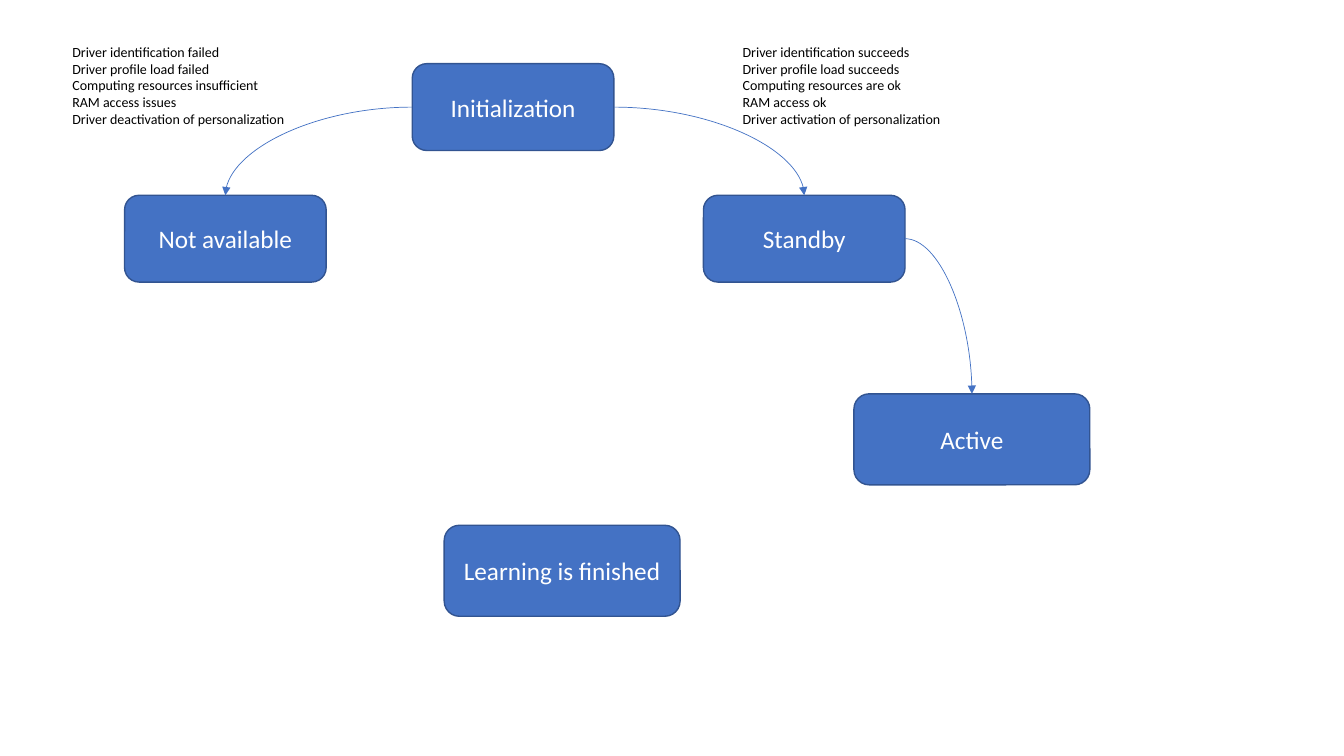
from dataclasses import dataclass

from lxml.etree import SubElement
from pptx import Presentation
from pptx.dml.color import RGBColor
from pptx.enum.shapes import MSO_CONNECTOR, MSO_SHAPE
from pptx.enum.text import MSO_ANCHOR, MSO_AUTO_SIZE, PP_ALIGN
from pptx.oxml.ns import qn
from pptx.util import Pt


@dataclass(frozen=True)
class Theme:
    font: str = "Calibri"
    blue: RGBColor = RGBColor(0x44, 0x72, 0xC4)
    edge: RGBColor = RGBColor(0x32, 0x54, 0x91)
    white: RGBColor = RGBColor(0xFF, 0xFF, 0xFF)
    black: RGBColor = RGBColor(0, 0, 0)
    state: int = 18
    note: int = 10


THEME = Theme()
SMALL = (144, 62)
LARGE = (168.5, 65)
NOTE = (173.5, 67.7)
RIGHT, TOP = 3, 0

# Name, left, top, size
STATES = [
    ("Active", 610, 281.3, LARGE),
    ("Not available", 89, 139.5, SMALL),
    ("Standby", 502.5, 139.5, SMALL),
    ("Initialization", 294.5, 45.5, SMALL),
    ("Learning is finished", 317.3, 375.2, LARGE),
]

# Start state, side it leaves from, end state
MOVES = [
    ("Initialization", 1, "Not available"),
    ("Initialization", RIGHT, "Standby"),
    ("Standby", RIGHT, "Active"),
]

FAILED = [
    "Driver identification failed",
    "Driver profile load failed",
    "Computing resources insufficient",
    "RAM access issues",
    "Driver deactivation of personalization",
]
PASSED = [
    "Driver identification succeeds",
    "Driver profile load succeeds",
    "Computing resources are ok",
    "RAM access ok",
    "Driver activation of personalization",
]


def style(para, size, color):
    para.font.name = THEME.font
    para.font.size = Pt(size)
    para.font.color.rgb = color


def add_state(slide, name, left, top, size):
    box = slide.shapes.add_shape(
        MSO_SHAPE.ROUNDED_RECTANGLE, Pt(left), Pt(top), *map(Pt, size))
    box.shadow.inherit = False
    box.fill.solid()
    box.fill.fore_color.rgb = THEME.blue
    box.line.color.rgb = THEME.edge
    box.line.width = Pt(1)
    frame = box.text_frame
    frame.word_wrap = True
    frame.vertical_anchor = MSO_ANCHOR.MIDDLE
    para = frame.paragraphs[0]
    para.text = name
    para.alignment = PP_ALIGN.CENTER
    style(para, THEME.state, THEME.white)
    return box


def add_note(slide, left, top, lines):
    box = slide.shapes.add_textbox(Pt(left), Pt(top), *map(Pt, NOTE))
    frame = box.text_frame
    frame.word_wrap = True
    frame.auto_size = MSO_AUTO_SIZE.SHAPE_TO_FIT_TEXT
    frame.text = "\n".join(lines)
    for para in frame.paragraphs:
        style(para, THEME.note, THEME.black)


def add_move(slide, start, side, end):
    link = slide.shapes.add_connector(MSO_CONNECTOR.CURVE, 0, 0, 0, 0)
    link.begin_connect(start, side)
    link.end_connect(end, TOP)
    link.line.color.rgb = THEME.blue
    link.line.width = Pt(0.5)
    # Single bend, arrowhead at the end, no shadow
    props = link._element.spPr
    props.find(qn("a:prstGeom")).set("prst", "curvedConnector2")
    SubElement(props.find(qn("a:ln")), qn("a:tailEnd"), type="triangle")
    SubElement(props, qn("a:effectLst"))


def main():
    deck = Presentation()
    deck.slide_width, deck.slide_height = Pt(960), Pt(540)
    slide = deck.slides.add_slide(deck.slide_layouts[6])

    # States
    boxes = {state[0]: add_state(slide, *state) for state in STATES}

    # Moves between states
    for start, side, end in MOVES:
        add_move(slide, boxes[start], side, boxes[end])

    # Conditions
    add_note(slide, 44.6, 27.4, FAILED)
    add_note(slide, 523.4, 27.4, PASSED)

    deck.save("out.pptx")


if __name__ == "__main__":
    main()
